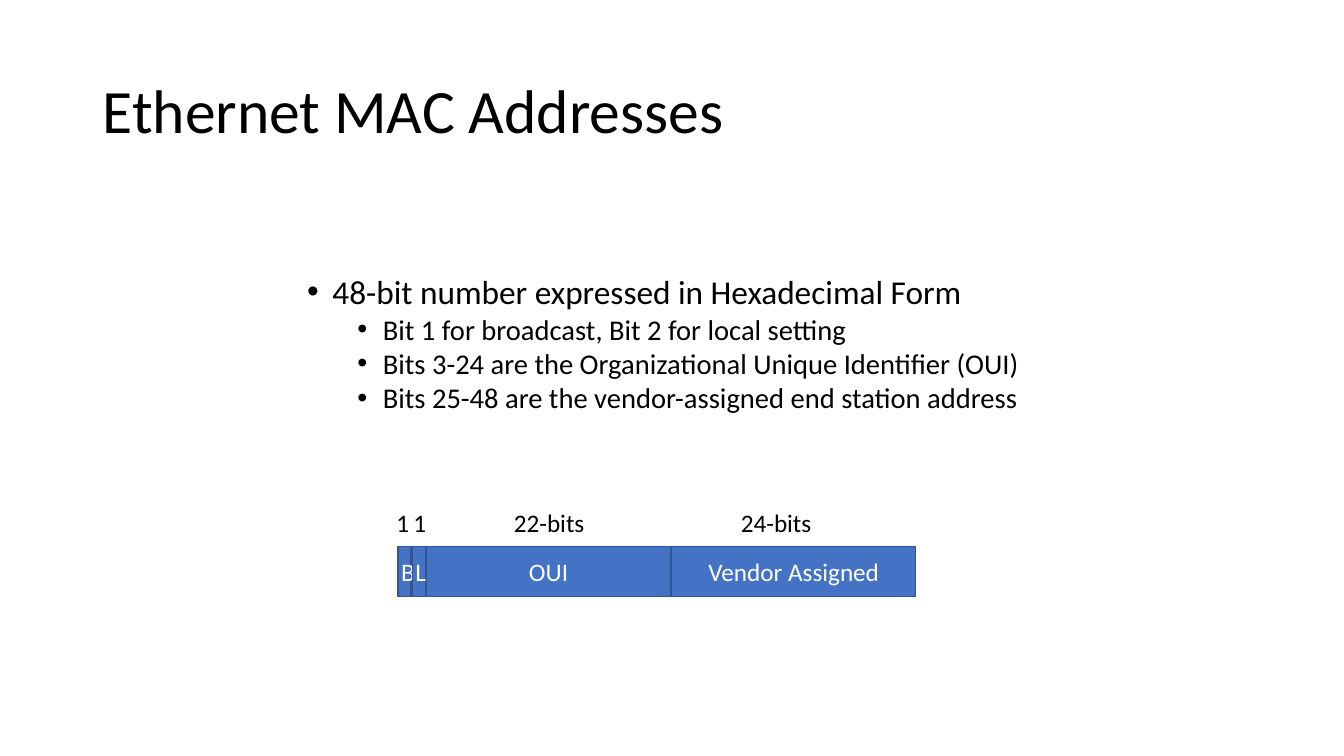
from lxml import etree
from pptx import Presentation
from pptx import util as u
from pptx.dml.color import RGBColor
from pptx.enum import shapes, text
from pptx.oxml import ns

hues = {"ink": "000000", "fill": "4472C4", "edge": "325491", "pale": "FFFFFF"}


def style(para, size, hue):
    for run in para.runs:
        run.font.name = "Calibri"
        run.font.size = u.Pt(size)
        run.font.color.rgb = RGBColor.from_string(hues[hue])


def add_text(left, top, width, height, words):
    box = slide.shapes.add_textbox(u.Cm(left), u.Cm(top), u.Cm(width), u.Cm(height))
    frame = box.text_frame
    frame.word_wrap = True
    frame.text = words
    return frame


deck = Presentation()
deck.slide_width = u.Cm(33.87)
deck.slide_height = u.Cm(19.05)
slide = deck.slides.add_slide(deck.slide_layouts[6])

title = add_text(2.34, 1.02, 29.21, 3.68, "Ethernet MAC Addresses")
title.vertical_anchor = text.MSO_ANCHOR.MIDDLE
title.paragraphs[0].line_spacing = 0.9
style(title.paragraphs[0], 44, "ink")

points = [
    (0, "48-bit number expressed in Hexadecimal Form"),
    (1, "Bit 1 for broadcast, Bit 2 for local setting"),
    (1, "Bits 3-24 are the Organizational Unique Identifier (OUI)"),
    (1, "Bits 25-48 are the vendor-assigned end station address"),
]
body = add_text(7.49, 6.91, 18.9, 4.29, "\n".join(words for level, words in points))
for para, (level, words) in zip(body.paragraphs, points):
    para.level = level
    para.line_spacing = 0.8
    para.space_before = u.Pt(5 if level else 10)
    style(para, 20.4 if level else 23.8, "ink")
    props = para._p.get_or_add_pPr()
    props.set("marL", str(u.Cm(0.64 + 1.27 * level)))
    props.set("indent", str(-u.Cm(0.64)))
    font = etree.SubElement(props, ns.qn("a:buFont"))
    font.set("typeface", "Arial")
    mark = etree.SubElement(props, ns.qn("a:buChar"))
    mark.set("char", "•")

fields = [("B", 0.33), ("L", 0.33), ("OUI", 6.15), ("Vendor Assigned", 6.15)]
left = 10.03
for name, width in fields:
    field = slide.shapes.add_shape(
        shapes.MSO_SHAPE.RECTANGLE, u.Cm(left), u.Cm(13.77), u.Cm(width), u.Cm(1.27)
    )
    field.shadow.inherit = False
    field.fill.solid()
    field.fill.fore_color.rgb = RGBColor.from_string(hues["fill"])
    field.line.color.rgb = RGBColor.from_string(hues["edge"])
    field.line.width = u.Pt(1)
    frame = field.text_frame
    frame.text = name
    frame.vertical_anchor = text.MSO_ANCHOR.MIDDLE
    frame.paragraphs[0].alignment = text.PP_ALIGN.CENTER
    style(frame.paragraphs[0], 18, "pale")
    left += width + 0.03

labels = [("1", 9.91, 0.33), ("1", 10.34, 0.33), ("22-bits", 12.7, 2.34), ("24-bits", 18.42, 2.34)]
for words, left, width in labels:
    label = add_text(left, 12.67, width, 1.03, words)
    label.auto_size = text.MSO_AUTO_SIZE.SHAPE_TO_FIT_TEXT
    style(label.paragraphs[0], 18, "ink")

deck.save("out.pptx")
